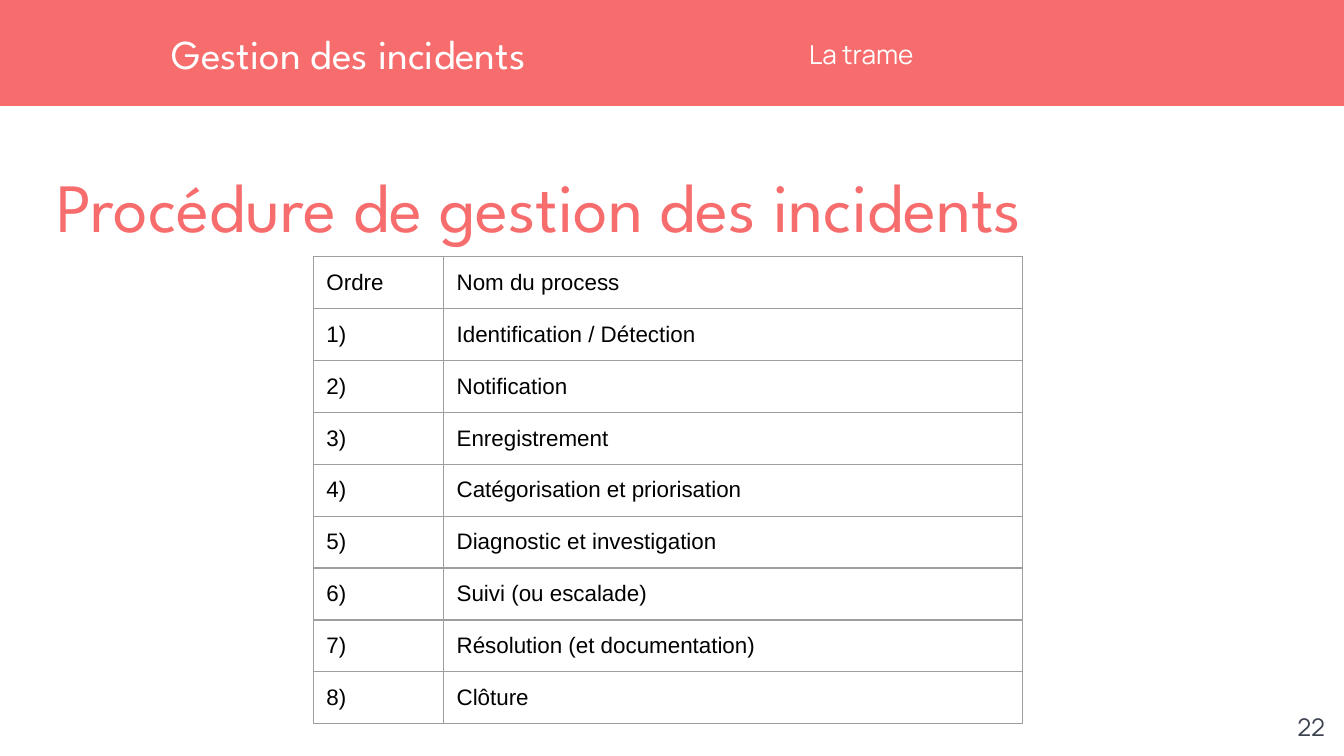
from dataclasses import dataclass

from lxml import etree
from pptx import Presentation
from pptx.dml.color import RGBColor
from pptx.enum.shapes import MSO_SHAPE
from pptx.enum.text import MSO_ANCHOR, MSO_AUTO_SIZE, PP_ALIGN
from pptx.oxml.ns import qn
from pptx.util import Cm, Pt

RECT = MSO_SHAPE.RECTANGLE
TOP, MIDDLE = MSO_ANCHOR.TOP, MSO_ANCHOR.MIDDLE
LEFT, RIGHT = PP_ALIGN.LEFT, PP_ALIGN.RIGHT
NO_FIT = MSO_AUTO_SIZE.NONE
COMPARISON_LAYOUT = 4  # a title and two unbulleted headings


@dataclass(frozen=True)
class Theme:
    coral: str = "F76C6C"
    white: str = "FFFFFF"
    slate: str = "3B424E"
    black: str = "000000"
    border: str = "9E9E9E"
    title_font: str = "League Spartan"
    body_font: str = "Manrope"
    table_font: str = "Arial"
    heading_size: float = 37
    title_size: float = 22
    subtitle_size: float = 14
    number_size: float = 13
    table_size: float = 12
    border_width: float = 0.75


@dataclass(frozen=True)
class Label:
    text: str
    box: tuple[float, float, float, float]  # left, top, width, height in cm
    font: str
    size: float
    color: str
    anchor: MSO_ANCHOR = MIDDLE
    align: PP_ALIGN = LEFT
    inset: float = 0
    spacing: float = 1.0


THEME = Theme()
TITLE = Label("Gestion des incidents", (3.25, 0, 11.91, 2),
              THEME.title_font, THEME.title_size, THEME.white)
SUBTITLE = Label("La trame", (15.29, 0.53, 9.75, 1),
                 THEME.body_font, THEME.subtitle_size, THEME.white)
HEADING = Label("Procédure de gestion des incidents", (1.07, 2.85, 23.52, 1.47),
                THEME.title_font, THEME.heading_size, THEME.coral,
                anchor=TOP, spacing=1.15)
NUMBER = Label("22", (23.77, 13.18, 1.52, 1.09),
               THEME.body_font, THEME.number_size, THEME.slate,
               align=RIGHT, inset=0.25)

HEADER = ("Ordre", "Nom du process")
STEPS = (
    "Identification / Détection",
    "Notification",
    "Enregistrement",
    "Catégorisation et priorisation",
    "Diagnostic et investigation",
    "Suivi (ou escalade)",
    "Résolution (et documentation)",
    "Clôture",
)
TABLE_LEFT, TABLE_TOP = 5.92, 4.85
COLUMN_WIDTHS = (2.46, 10.95)
ROW_HEIGHT = 0.98
CELL_INSET = 0.25


def style_runs(p, font: str, size: float, color: str) -> None:
    for r in p.runs:
        r.font.name = font
        r.font.size = Pt(size)
        r.font.bold = False
        r.font.color.rgb = RGBColor.from_string(color)


def write_label(sp, label: Label) -> None:
    sp.left, sp.top, sp.width, sp.height = (Cm(v) for v in label.box)
    tf = sp.text_frame
    tf.text = label.text
    tf.word_wrap = True
    tf.auto_size = NO_FIT
    tf.vertical_anchor = label.anchor
    tf.margin_left = tf.margin_right = Cm(label.inset)
    tf.margin_top = tf.margin_bottom = Cm(label.inset)
    p = tf.paragraphs[0]
    p.alignment = label.align
    p.line_spacing = label.spacing
    p.space_before = Pt(0)
    style_runs(p, label.font, label.size, label.color)


def add_banner(s) -> None:
    """Draw the coloured band behind the placeholders."""
    sp = s.shapes.add_shape(RECT, Cm(-0.05), Cm(0), Cm(25.5), Cm(2))
    sp.shadow.inherit = False
    sp.fill.solid()
    sp.fill.fore_color.rgb = RGBColor.from_string(THEME.coral)
    sp.line.fill.background()
    sp.element.getparent().insert(2, sp.element)


def set_borders(cell) -> None:
    """Put the four border lines ahead of the cell's fill, as the schema asks."""
    tc_pr = cell._tc.get_or_add_tcPr()
    for i, side in enumerate(("lnL", "lnR", "lnT", "lnB")):
        ln = etree.Element(qn(f"a:{side}"), w=str(Pt(THEME.border_width)))
        fill = etree.SubElement(ln, qn("a:solidFill"))
        etree.SubElement(fill, qn("a:srgbClr"), val=THEME.border)
        tc_pr.insert(i, ln)


def write_cell(cell, text: str) -> None:
    cell.fill.background()
    cell.margin_left = cell.margin_right = Cm(CELL_INSET)
    cell.margin_top = cell.margin_bottom = Cm(CELL_INSET)
    cell.text_frame.text = text
    style_runs(cell.text_frame.paragraphs[0],
               THEME.table_font, THEME.table_size, THEME.black)
    set_borders(cell)


def add_process_table(s) -> None:
    rows = [HEADER, *((f"{i})", step) for i, step in enumerate(STEPS, 1))]
    table = s.shapes.add_table(
        len(rows), len(HEADER), Cm(TABLE_LEFT), Cm(TABLE_TOP),
        Cm(sum(COLUMN_WIDTHS)), Cm(ROW_HEIGHT * len(rows))).table
    table.first_row = table.horz_banding = False
    for column, width in zip(table.columns, COLUMN_WIDTHS):
        column.width = Cm(width)
    for i, texts in enumerate(rows):
        table.rows[i].height = Cm(ROW_HEIGHT)
        for j, text in enumerate(texts):
            write_cell(table.cell(i, j), text)


def main() -> None:
    prs = Presentation()
    prs.slide_width, prs.slide_height = Cm(25.4), Cm(14.28)
    s = prs.slides.add_slide(prs.slide_layouts[COMPARISON_LAYOUT])
    add_banner(s)
    labels = {0: TITLE, 1: SUBTITLE, 3: HEADING}
    for sp in list(s.placeholders):
        label = labels.get(sp.placeholder_format.idx)
        if label:
            write_label(sp, label)
        else:
            sp.element.getparent().remove(sp.element)
    write_label(s.shapes.add_textbox(0, 0, 0, 0), NUMBER)
    add_process_table(s)
    prs.save("out.pptx")


if __name__ == "__main__":
    main()
